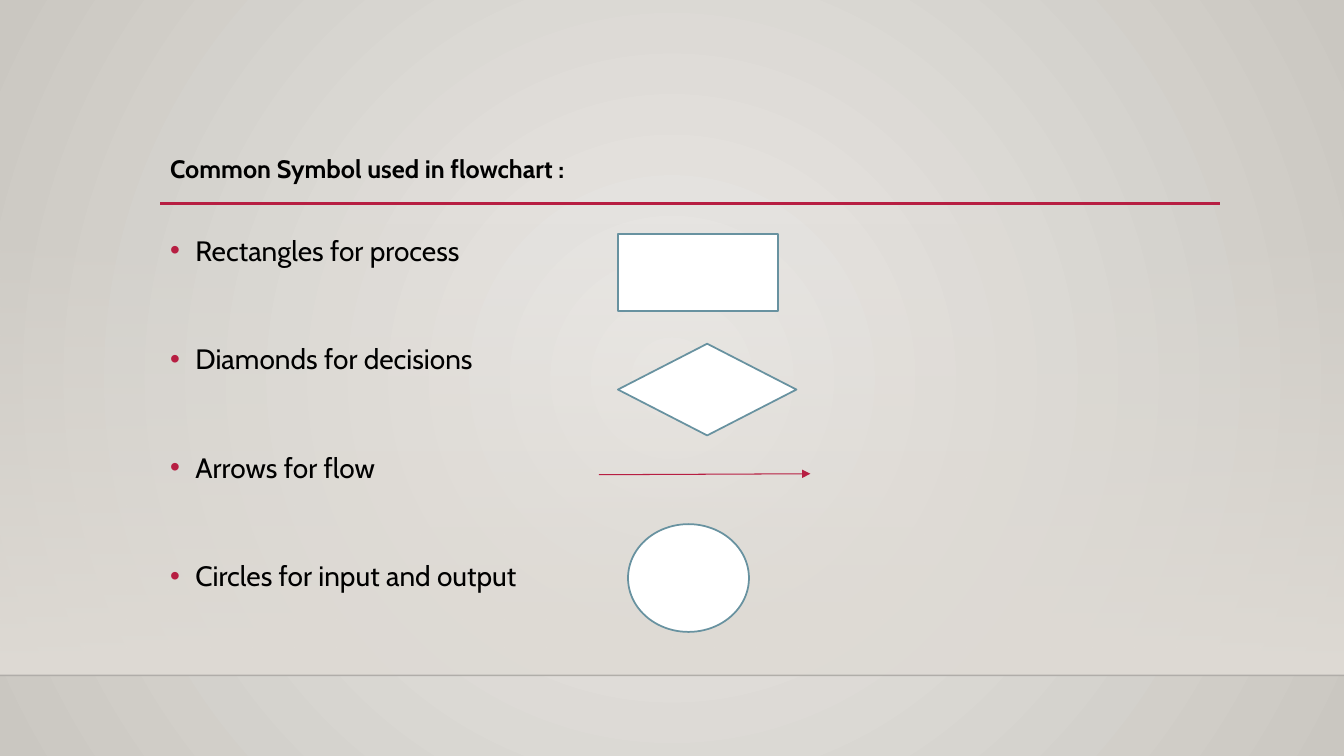
from lxml.etree import SubElement
from pptx import Presentation
from pptx.dml.color import RGBColor
from pptx.enum.shapes import MSO_CONNECTOR, MSO_SHAPE
from pptx.oxml.ns import qn
from pptx.util import Pt

LEFT = 114.5
BLACK, WHITE, CRIMSON, TEAL, SAND = "000000", "FFFFFF", "B71E42", "6892A0", "DFDBD5"


def color(value):
    return RGBColor.from_string(value)


def add_alpha(parent, percent):
    for node in parent.iter(qn("a:srgbClr")):
        SubElement(node, qn("a:alpha"), val=str(percent * 1000))


class FlowchartSlide:
    font = "Cabin"

    def __init__(self, presentation):
        self.slide = presentation.slides.add_slide(presentation.slide_layouts[6])

    def gradient(self, fill, parent, stops, radial=False):
        """Fill with (position, color, opacity) stops, from the top or from the center."""
        fill.gradient()
        node = next(parent.iter(qn("a:gradFill")))
        for child in list(node):
            node.remove(child)
        stop_list = SubElement(node, qn("a:gsLst"))
        for position, value, opacity in stops:
            stop = SubElement(stop_list, qn("a:gs"), pos=str(position * 1000))
            SubElement(stop, qn("a:srgbClr"), val=value)
            add_alpha(stop, opacity)
        if radial:
            center = SubElement(node, qn("a:path"), path="circle")
            SubElement(center, qn("a:fillToRect"), dict.fromkeys("ltrb", "50000"))
        else:
            SubElement(node, qn("a:lin"), ang="5400000", scaled="0")

    def background(self, inner, outer):
        self.gradient(self.slide.background.fill, self.slide.element,
                      [(0, inner, 100), (100, outer, 100)], radial=True)

    def shape(self, kind, left, top, width, height):
        shape = self.slide.shapes.add_shape(kind, Pt(left), Pt(top), Pt(width), Pt(height))
        shape.shadow.inherit = False
        return shape

    def fading_band(self, top, height, value):
        band = self.shape(MSO_SHAPE.RECTANGLE, 0, top, 960, height)
        band.line.fill.background()
        self.gradient(band.fill, band.element.spPr, [(0, value, 0), (100, value, 100)])

    def symbol(self, kind, left, top, width, height):
        symbol = self.shape(kind, left, top, width, height)
        symbol.fill.solid()
        symbol.fill.fore_color.rgb = color(WHITE)
        symbol.line.color.rgb = color(TEAL)
        symbol.line.width = Pt(1.25)

    def line(self, start, end, value, width, opacity=100, arrow=False):
        line = self.slide.shapes.add_connector(
            MSO_CONNECTOR.STRAIGHT, *(Pt(length) for length in (*start, *end)))
        line.line.color.rgb = color(value)
        line.line.width = Pt(width)
        properties = line.element.spPr
        outline = properties.find(qn("a:ln"))
        if opacity < 100:
            add_alpha(outline, opacity)
        if arrow:
            SubElement(outline, qn("a:tailEnd"), type="triangle")
        SubElement(properties, qn("a:effectLst"))

    def text_frame(self, left, top, width, height):
        box = self.slide.shapes.add_textbox(Pt(left), Pt(top), Pt(width), Pt(height))
        box.text_frame.word_wrap = True
        return box.text_frame

    def run(self, paragraph, text, size, bold=False):
        run = paragraph.add_run()
        run.text = text
        run.font.name = self.font
        run.font.size = Pt(size)
        run.font.bold = bold
        run.font.color.rgb = color(BLACK)

    def title(self, text, *place):
        self.run(self.text_frame(*place).paragraphs[0], text, 18, bold=True)

    def bullets(self, items, *place):
        frame = self.text_frame(*place)
        for index, item in enumerate(items):
            paragraph = frame.add_paragraph() if index else frame.paragraphs[0]
            paragraph.line_spacing = 1.2
            paragraph.space_before = Pt(48.7 if index else 10)
            properties = paragraph._p.get_or_add_pPr()
            properties.set("marL", str(Pt(18)))
            properties.set("indent", str(-Pt(18)))
            bullet_color = SubElement(properties, qn("a:buClr"))
            SubElement(bullet_color, qn("a:srgbClr"), val=CRIMSON)
            SubElement(properties, qn("a:buFont"), typeface="Arial")
            SubElement(properties, qn("a:buChar"), char="•")
            self.run(paragraph, item, 20)


def main():
    presentation = Presentation()
    presentation.slide_width, presentation.slide_height = Pt(960), Pt(540)
    page = FlowchartSlide(presentation)

    # Backdrop with horizon
    page.background("ECEAE7", "CAC7C1")
    page.fading_band(159, 323.4, SAND)
    page.line((0, 482.4), (960, 482.4), "000001", 1, opacity=20)

    # Heading, rule and list
    page.line((LEFT, 145.4), (871.2, 145.4), CRIMSON, 2.5)
    page.bullets(["Rectangles for process", "Diamonds for decisions",
                  "Arrows for flow", "Circles for input and output"],
                 LEFT, 158.4, 489.6, 302.4)
    page.title("Common Symbol used in flowchart :", LEFT, 105.8, 327, 29.5)

    # Flowchart symbols
    page.symbol(MSO_SHAPE.RECTANGLE, 441.4, 167, 114.5, 55.4)
    page.symbol(MSO_SHAPE.FLOWCHART_DECISION, 441.4, 245.5, 127.5, 65.5)
    page.line((427.7, 339.1), (578.9, 338.4), CRIMSON, 0.75, arrow=True)
    page.symbol(MSO_SHAPE.FLOWCHART_CONNECTOR, 448.6, 374.4, 86.4, 77)

    presentation.save("out.pptx")


if __name__ == "__main__":
    main()
